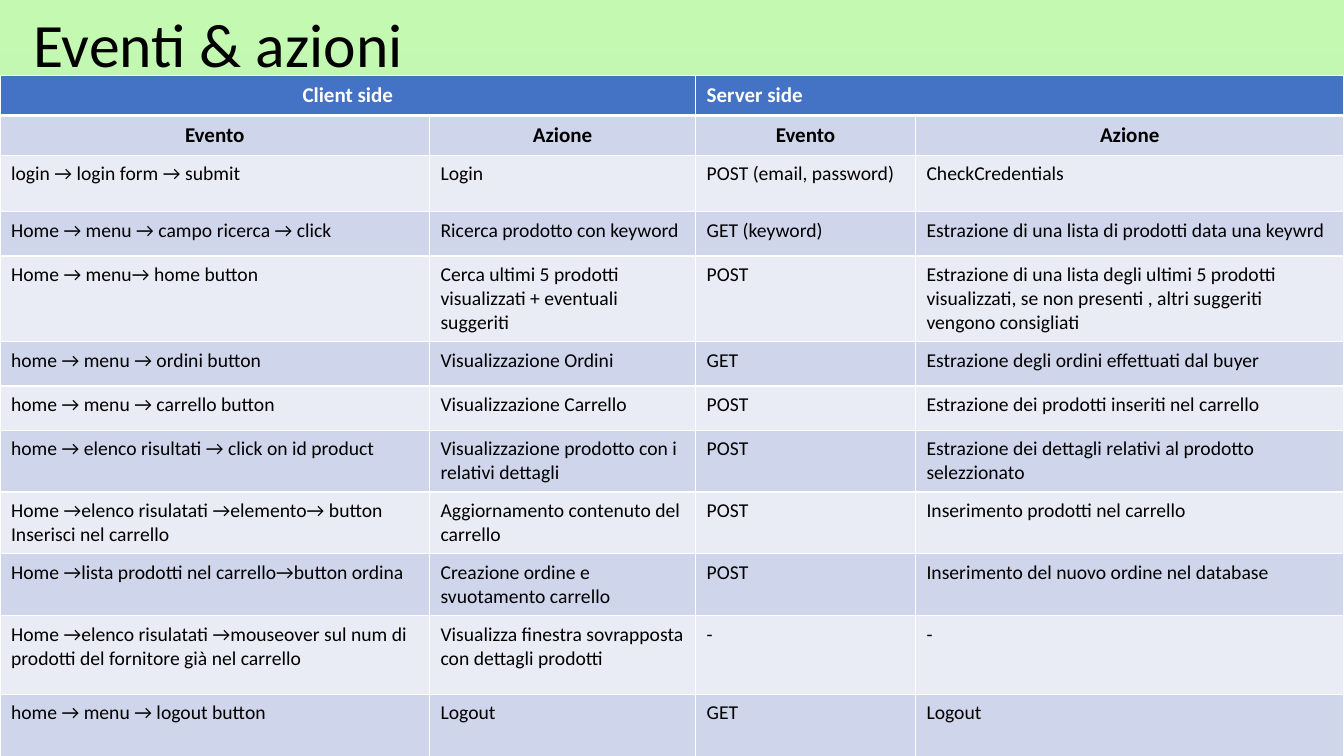
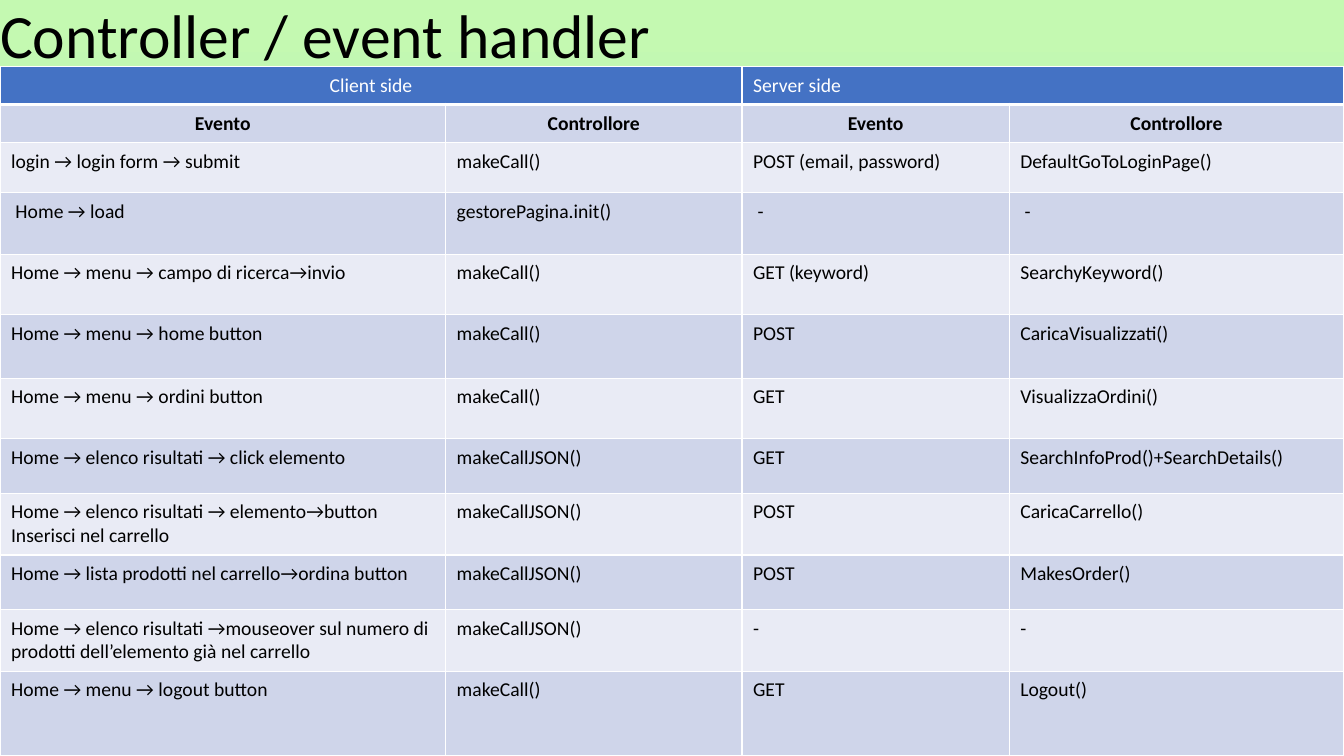
from copy import deepcopy
from dataclasses import dataclass

from lxml import etree
from pptx import Presentation, util as u
from pptx.dml.color import RGBColor
from pptx.enum import text
from pptx.oxml.ns import qn


@dataclass(frozen=True)
class Theme:
    font: str = "Calibri"
    title_size: int = 44
    body_size: int = 14
    ink: str = "000000"
    light: str = "FFFFFF"
    header: str = "4472C4"
    bands: tuple = ("CFD5EA", "E9EBF5")
    backdrop: tuple = ((0, "C4F9B1"), (0.48, "B6F4B7"), (1, "E2F0D9"))
    margin_x: float = 0.11
    margin_y: float = 0.07


THEME = Theme()
WIDTH, HEIGHT = 13.33, 7.5
TITLE_HEIGHT = 0.87
TITLE_ONLY = 5
LEFT, CENTER = text.PP_ALIGN.LEFT, text.PP_ALIGN.CENTER
SIDES = ("Client side", "Server side")

PAGES = [
    dict(
        title="Eventi & azioni", title_at=(0.23, 0.04), title_width=9.75,
        title_align=LEFT, top=0.75, head_size=15, side_bold=True,
        columns=(4.26, 2.64, 2.18, 4.25),
        heights=(0.39, 0.39, 0.56, 0.44, 0.85, 0.44, 0.44, 0.61, 0.61, 0.61, 0.78, 0.78),
        heads=("Evento", "Azione"),
        rows=[
            ("login → login form → submit", "Login", "POST (email, password)", "CheckCredentials"),
            ("Home → menu → campo ricerca → click", "Ricerca prodotto con keyword",
             "GET (keyword)", "Estrazione di una lista di prodotti data una keywrd"),
            ("Home → menu→ home button",
             "Cerca ultimi 5 prodotti visualizzati + eventuali suggeriti", "POST",
             "Estrazione di una lista degli ultimi 5 prodotti visualizzati, "
             "se non presenti , altri suggeriti vengono consigliati"),
            ("home → menu → ordini button", "Visualizzazione Ordini", "GET",
             "Estrazione degli ordini effettuati dal buyer"),
            ("home → menu → carrello button", "Visualizzazione Carrello", "POST",
             "Estrazione dei prodotti inseriti nel carrello"),
            ("home → elenco risultati → click on id product",
             "Visualizzazione prodotto con i relativi dettagli", "POST",
             "Estrazione dei dettagli relativi al prodotto selezzionato"),
            ("Home →elenco risulatati →elemento→ button Inserisci nel carrello",
             "Aggiornamento contenuto del carrello", "POST", "Inserimento prodotti nel carrello"),
            ("Home →lista prodotti nel carrello→button ordina",
             "Creazione ordine e svuotamento carrello", "POST",
             "Inserimento del nuovo ordine nel database"),
            ("Home →elenco risulatati →mouseover sul num di prodotti del fornitore già nel carrello",
             "Visualizza finestra sovrapposta con dettagli prodotti", "-", "-"),
            ("home → menu → logout button", "Logout", "GET", "Logout"),
        ],
    ),
    dict(
        title="Controller / event handler", title_at=(-0.1, -0.05), title_width=9.6,
        title_align=text.PP_ALIGN.JUSTIFY, top=0.66, head_size=14, side_bold=False,
        columns=(4.42, 2.94, 2.65, 3.32),
        heights=(0.37, 0.37, 0.5, 0.61, 0.6, 0.63, 0.6, 0.54, 0.61, 0.54, 0.61, 0.84),
        heads=("Evento", "Controllore"),
        rows=[
            ("login → login form → submit", "makeCall()", "POST (email, password)",
             "DefaultGoToLoginPage()"),
            (" Home → load", "gestorePagina.init()", " -", " -"),
            ("Home → menu → campo di ricerca→invio", "makeCall()", "GET (keyword)",
             "SearchyKeyword()"),
            ("Home → menu → home button", "makeCall()", "POST", "CaricaVisualizzati()"),
            ("Home → menu → ordini button", "makeCall()", "GET", "VisualizzaOrdini()"),
            ("Home → elenco risultati → click elemento", "makeCallJSON()", "GET",
             "SearchInfoProd()+SearchDetails()"),
            ("Home → elenco risultati → elemento→button\nInserisci nel carrello",
             "makeCallJSON()", "POST", "CaricaCarrello()"),
            ("Home → lista prodotti nel carrello→ordina button", "makeCallJSON()", "POST",
             "MakesOrder()"),
            ("Home → elenco risultati →mouseover sul numero di prodotti "
             "dell’elemento già nel carrello", "makeCallJSON()", "-", "-"),
            ("Home → menu → logout button", "makeCall()", "GET", "Logout()"),
        ],
    ),
]


def rgb(code):
    return RGBColor.from_string(code)


def paint_backdrop(master):
    """Give the master a vertical gradient that every slide inherits."""
    fill = master.background.fill
    fill.gradient()
    fill.gradient_angle = 270
    stop_list = master.element.find(".//" + qn("a:gsLst"))
    while len(stop_list) < len(THEME.backdrop):
        stop_list.append(deepcopy(stop_list[-1]))
    for stop, (position, code) in zip(fill.gradient_stops, THEME.backdrop):
        stop.position = position
        stop.color.rgb = rgb(code)


def write(paragraph, words, size, color, bold=False, align=LEFT):
    paragraph.alignment = align
    run = paragraph.add_run()
    run.text = words
    font = run.font
    font.name, font.size, font.bold = THEME.font, u.Pt(size), bold
    font.color.rgb = rgb(color)


def add_title(slide, page):
    title = slide.shapes.title
    title.left, title.top = map(u.Inches, page["title_at"])
    title.width, title.height = u.Inches(page["title_width"]), u.Inches(TITLE_HEIGHT)
    frame = title.text_frame
    frame.auto_size = text.MSO_AUTO_SIZE.NONE
    frame.vertical_anchor = text.MSO_ANCHOR.MIDDLE
    paragraph = frame.paragraphs[0]
    paragraph.line_spacing = 0.9
    write(paragraph, page["title"], THEME.title_size, THEME.ink, align=page["title_align"])


def outline(cell, bottom=1):
    properties = cell._tc.get_or_add_tcPr()
    for side, points in (("L", 1), ("R", 1), ("T", 1), ("B", bottom)):
        line = etree.SubElement(properties, qn("a:ln" + side), w=str(u.Pt(points)))
        solid = etree.SubElement(line, qn("a:solidFill"))
        etree.SubElement(solid, qn("a:srgbClr"), val=THEME.light)


def fill_cell(cell, words, fill, size, color, bottom=1, **style):
    outline(cell, bottom)
    cell.fill.solid()
    cell.fill.fore_color.rgb = rgb(fill)
    cell.margin_left = cell.margin_right = u.Inches(THEME.margin_x)
    cell.margin_top = cell.margin_bottom = u.Inches(THEME.margin_y)
    frame = cell.text_frame
    for index, line in enumerate(words.split("\n")):
        paragraph = frame.add_paragraph() if index else frame.paragraphs[0]
        write(paragraph, line, size, color, **style)


def add_event_table(slide, page):
    columns, heights = page["columns"], page["heights"]
    table = slide.shapes.add_table(
        len(heights), len(columns), 0, u.Inches(page["top"]),
        u.Inches(sum(columns)), u.Inches(sum(heights))).table
    for column, width in zip(table.columns, columns):
        column.width = u.Inches(width)
    for row, height in zip(table.rows, heights):
        row.height = u.Inches(height)

    for side, (name, align) in enumerate(zip(SIDES, (CENTER, LEFT))):
        first = table.cell(0, 2 * side)
        first.merge(table.cell(0, 2 * side + 1))
        fill_cell(first, name, THEME.header, page["head_size"], THEME.light,
                  bottom=3, bold=page["side_bold"], align=align)

    for r, entries in enumerate([page["heads"] * 2] + page["rows"]):
        is_head = r == 0
        size = page["head_size"] if is_head else THEME.body_size
        for c, words in enumerate(entries):
            fill_cell(table.cell(r + 1, c), words, THEME.bands[r % 2], size, THEME.ink,
                      bold=is_head, align=CENTER if is_head else LEFT)


def main():
    prs = Presentation()
    prs.slide_width, prs.slide_height = u.Inches(WIDTH), u.Inches(HEIGHT)
    paint_backdrop(prs.slide_master)
    for page in PAGES:
        slide = prs.slides.add_slide(prs.slide_layouts[TITLE_ONLY])
        add_title(slide, page)
        add_event_table(slide, page)
    prs.save("out.pptx")


if __name__ == "__main__":
    main()
